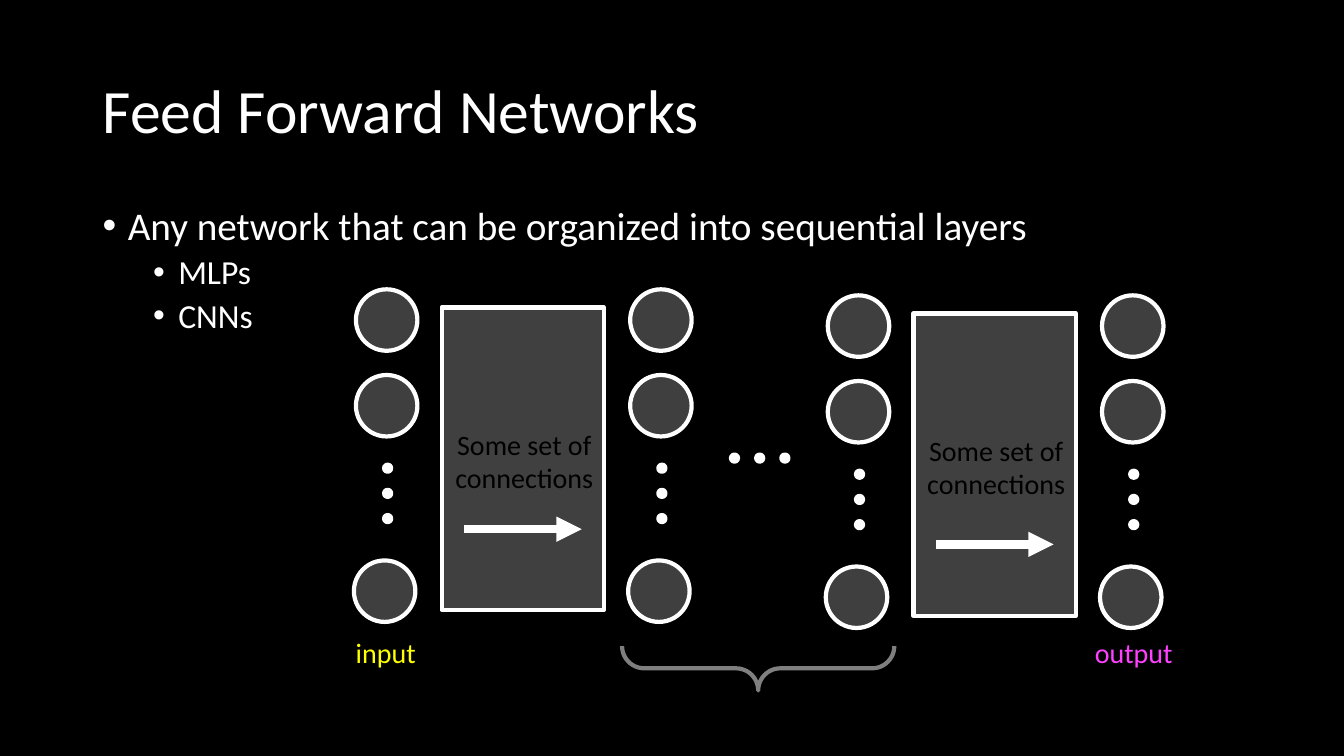
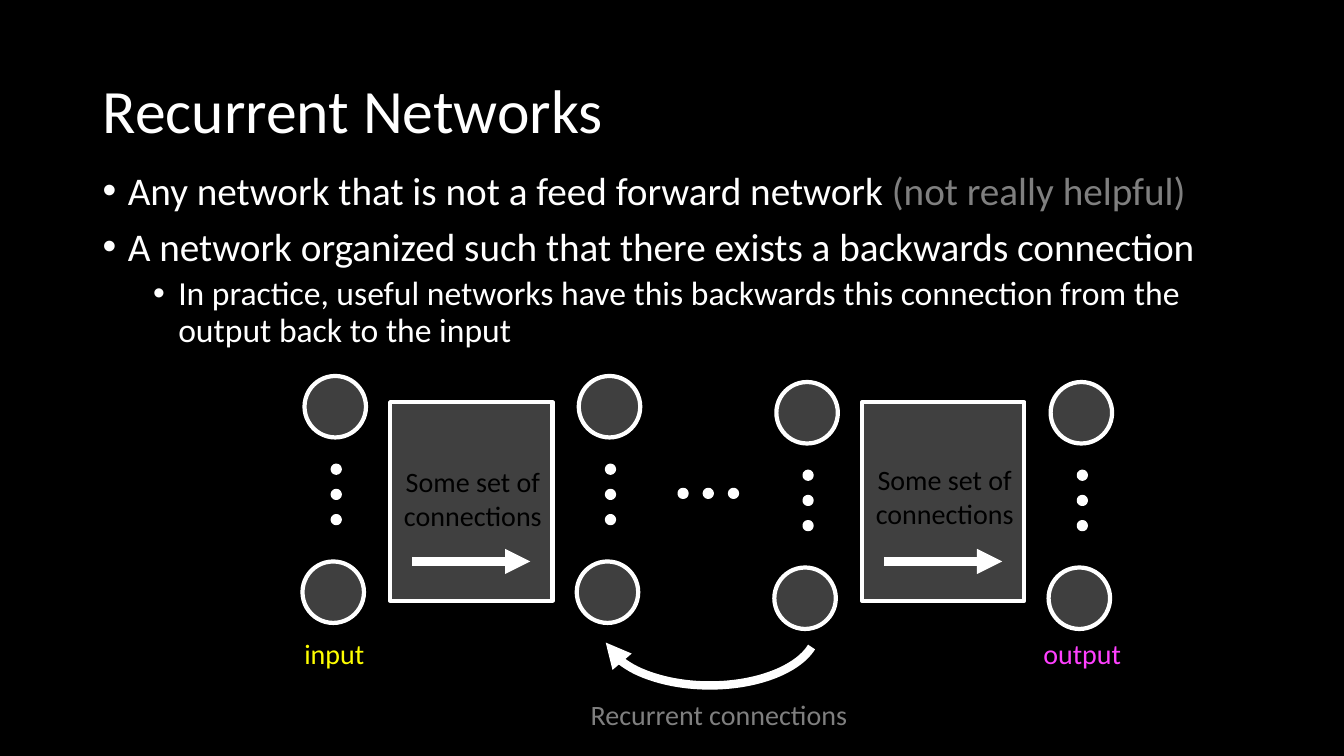
from lxml.etree import SubElement
from pptx import Presentation
from pptx.dml.color import RGBColor
from pptx.enum.shapes import MSO_CONNECTOR as Line, MSO_SHAPE as Shape
from pptx.enum.text import MSO_ANCHOR as Anchor, PP_ALIGN as Align
from pptx.oxml.ns import qn
from pptx.util import Inches, Pt

# Shared style
FONT = "Calibri"
BLACK, WHITE, GRAY, DARK = "000000", "FFFFFF", "7F7F7F", "404040"
YELLOW, MAGENTA = "FFFF00", "FF40FF"
MARGIN, CONTENT_W = 0.92, 11.5

# Network geometry, measured from its left edge and its lowest neuron row
NEURON, DOT, DOT_GAP = 0.61, 0.07, 0.25
LAYERS = [(0, 0), (2.72, 0), (4.68, 0.06), (7.4, 0.06)]
BLOCK_X, BLOCK_PITCH, BLOCK_W = 0.87, 4.68, 1.61


def rgb(color):
    return RGBColor.from_string(color)


def inches(*lengths):
    return [Inches(length) for length in lengths]


def add_text(slide, box, paragraphs, size=20, color=WHITE, align=Align.LEFT,
             anchor=Anchor.TOP, spacing=1.0, bullets=False):
    """Each paragraph is (level, [(text, color or None), ...]) or a plain string."""
    frame = slide.shapes.add_textbox(*inches(*box)).text_frame
    frame.word_wrap = True
    frame.vertical_anchor = anchor
    for index, content in enumerate(paragraphs):
        level, runs = (0, [(content, None)]) if isinstance(content, str) else content
        para = frame.paragraphs[0] if index == 0 else frame.add_paragraph()
        para.alignment, para.line_spacing = align, spacing
        if bullets:
            para.level = level
            if index:
                para.space_before = Pt(5 if level else 10)
            props = para._p.get_or_add_pPr()
            props.set("marL", str(Inches(0.25 + 0.5 * level)))
            props.set("indent", str(-Inches(0.25)))
            SubElement(props, qn("a:buFont"), typeface="Arial")
            SubElement(props, qn("a:buChar"), char="•")
        for words, run_color in runs:
            run = para.add_run()
            run.text = words
            run.font.name, run.font.size = FONT, Pt(size - 4 * level)
            run.font.color.rgb = rgb(run_color or color)


def add_outline(slide, kind, box, fill=None, line=WHITE, width=3, alpha=None):
    part = slide.shapes.add_shape(kind, *inches(*box))
    part.shadow.inherit = False
    part.line.color.rgb, part.line.width = rgb(line), Pt(width)
    if fill:
        part.fill.solid()
        part.fill.fore_color.rgb = rgb(fill)
    else:
        part.fill.background()
    if alpha:
        tint = part._element.spPr.find(qn("a:solidFill"))[0]
        SubElement(tint, qn("a:alpha"), val=str(alpha * 1000))
    return part


def add_arrow(slide, x, y, length):
    arrow = slide.shapes.add_connector(Line.STRAIGHT, *inches(x, y, x + length, y))
    arrow.line.color.rgb, arrow.line.width = rgb(WHITE), Pt(6)
    SubElement(arrow.line._get_or_add_ln(), qn("a:tailEnd"), type="triangle")
    SubElement(arrow._element.spPr, qn("a:effectLst"))


def add_dots(slide, x, y, step_x=0.0, step_y=0.0):
    for i in range(3):
        add_outline(slide, Shape.OVAL, (x + i * step_x, y + i * step_y, DOT, DOT), WHITE)


def add_layer(slide, x, bottom, rises):
    """A column of neurons: the lowest one, dots, then those above."""
    for shift, rise in [(0, 0)] + [(0.02, rise) for rise in rises]:
        add_outline(slide, Shape.OVAL, (x + shift, bottom - rise, NEURON, NEURON),
                    GRAY, alpha=50)
    add_dots(slide, x + 0.3, bottom - 0.95, step_y=DOT_GAP)


def add_block(slide, x, y, height, label_dy, arrow_dy):
    """A box of connections between two layers."""
    add_outline(slide, Shape.RECTANGLE, (x, y, BLOCK_W, height), DARK)
    add_text(slide, (x + 0.03, y + label_dy, 1.58, 0.77), ["Some set of connections"],
             color=BLACK, align=Align.CENTER)
    add_arrow(slide, x + 0.22, y + arrow_dy, 1.17)


def add_network(slide, left, bottom, rises, dots_y, block_h, blocks):
    """blocks holds top, label offset and arrow offset of each block."""
    for i, (top, label_dy, arrow_dy) in enumerate(blocks):
        add_block(slide, left + BLOCK_X + i * BLOCK_PITCH, top, block_h,
                  label_dy, arrow_dy)
    for x, drop in LAYERS:
        add_layer(slide, left + x, bottom + drop, rises)
    add_dots(slide, left + 3.74, dots_y, step_x=DOT_GAP)
    for name, x, width, color in [("input", -0.08, 0.9, YELLOW),
                                  ("output", 7.25, 1.03, MAGENTA)]:
        add_text(slide, (left + x, bottom + 0.7, width, 0.44), [name], color=color)


def add_topic(deck, title, body_top, body_h, points):
    """A black slide with its title and bullets."""
    slide = deck.slides.add_slide(deck.slide_layouts[6])
    slide.background.fill.solid()
    slide.background.fill.fore_color.rgb = rgb(BLACK)
    add_text(slide, (MARGIN, 0.4, CONTENT_W, 1.45), [title], size=44,
             anchor=Anchor.MIDDLE, spacing=0.9)
    add_text(slide, (MARGIN, body_top, CONTENT_W, body_h), points, size=28,
             spacing=0.9, bullets=True)
    return slide


def feed_forward(deck):
    slide = add_topic(deck, "Feed Forward Networks", 2, 1.45, [
        "Any network that can be organized into sequential layers",
        (1, [("MLPs", None)]),
        (1, [("CNNs", None)]),
    ])
    add_network(slide, 3.51, 5.56, (1.84, 2.69), 4.51, 3,
                [(3.05, 1.14, 2.2), (3.11, 1.14, 2.29)])
    # Brace under the hidden layers
    brace = add_outline(slide, Shape.LEFT_BRACE, (7.3, 5.28, 0.44, 2.7), line=GRAY)
    brace.adjustments[0] = 0.5
    brace.rotation = 270


def recurrent(deck):
    slide = add_topic(deck, "Recurrent Networks", 1.65, 1.9, [
        (0, [("Any network that is not a feed forward network ", None),
             ("(not really helpful)", GRAY)]),
        "A network organized such that there exists a backwards connection",
        (1, [("In practice, useful networks have this backwards this connection "
              "from the output back to the input", None)]),
    ])
    add_network(slide, 3, 5.57, (1.84,), 4.86, 1.97,
                [(3.99, 0.57, 1.58), (3.99, 0.55, 1.58)])
    # Backwards arrow
    loop = add_outline(slide, Shape.ARC, (5.98, 5.7, 2.12, 1.1), width=6)
    loop.adjustments[0], loop.adjustments[1] = 112.12, 210.32
    loop.rotation = 180
    loop._element.spPr.find(qn("a:xfrm")).set("flipH", "1")
    SubElement(loop.line._get_or_add_ln(), qn("a:headEnd"), type="triangle")
    add_text(slide, (5.76, 6.87, 3.24, 0.44), ["Recurrent connections"], color=GRAY)


def main():
    deck = Presentation()
    deck.slide_width, deck.slide_height = inches(13.33, 7.5)
    feed_forward(deck)
    recurrent(deck)
    deck.save("out.pptx")


if __name__ == "__main__":
    main()
